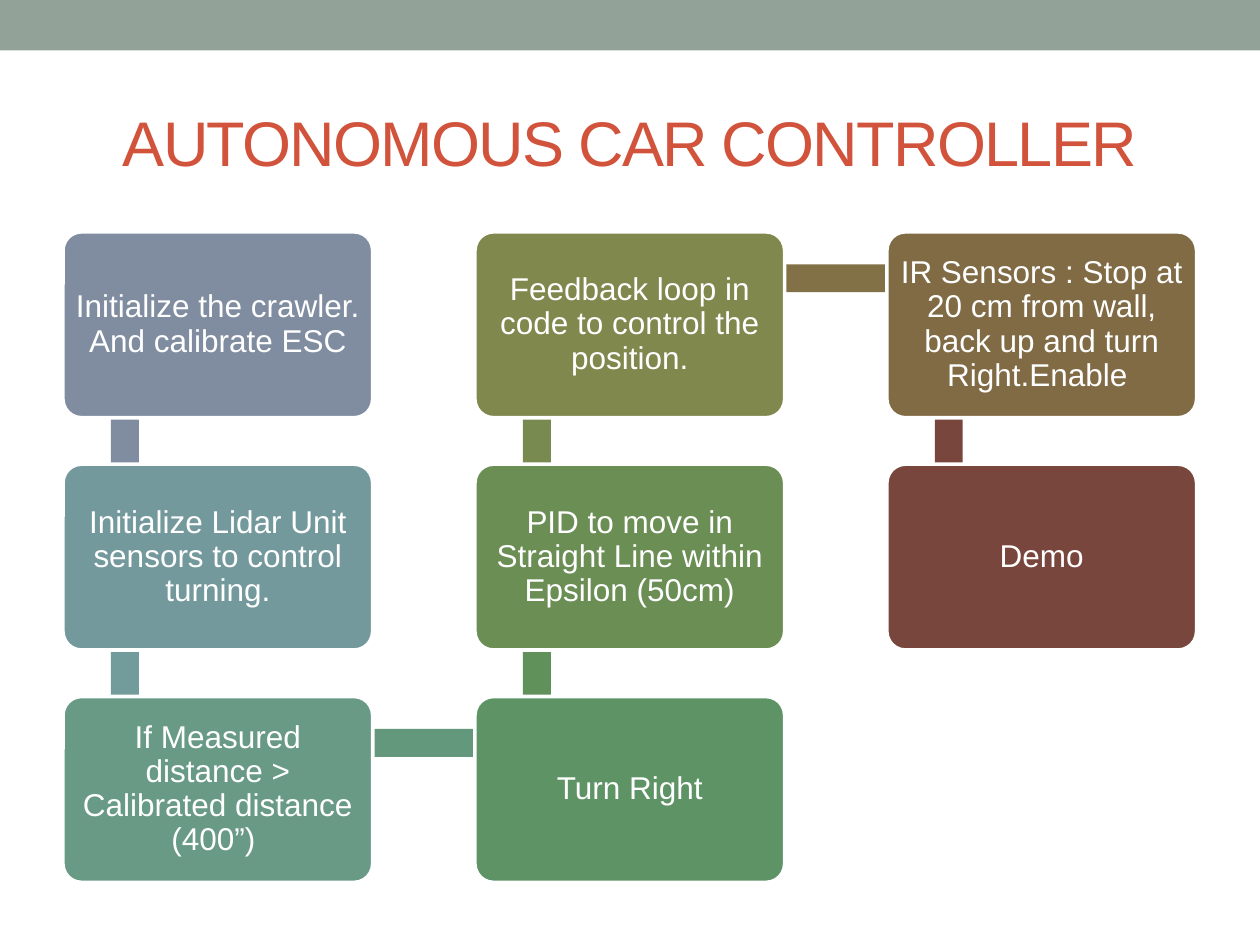
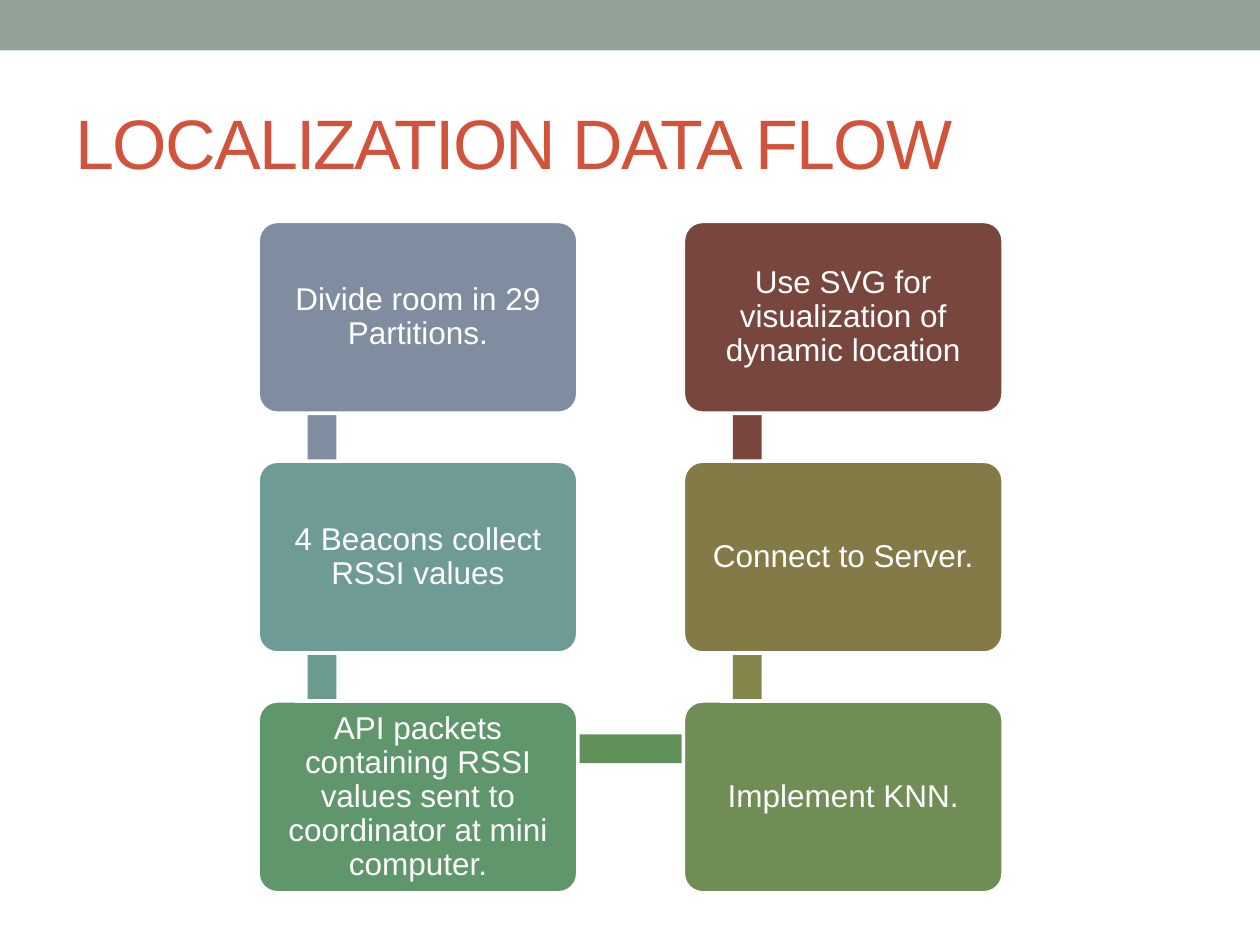
from pptx import Presentation
from pptx.dml.color import RGBColor
from pptx.enum.shapes import MSO_SHAPE as Preset
from pptx.enum.text import MSO_ANCHOR as Anchor, PP_ALIGN as Align
from pptx.util import Pt

FONT = "Arial"
WHITE = RGBColor(0xFF, 0xFF, 0xFF)
BAND = RGBColor(0x93, 0xA2, 0x99)
TITLE = RGBColor(0xD2, 0x53, 0x3C)
SLATE = RGBColor(0x80, 0x8D, 0xA0)
MAROON = RGBColor(0x79, 0x46, 0x3D)
GREEN = RGBColor(0x61, 0x91, 0x5A)
ROWS = 3

# Each flow: title, size, alignment, left, top, card width, steps.
# Each step: text, card colour, colour of the bar to the next step.
FLOWS = [
    ("AUTONOMOUS CAR CONTROLLER", 36, Align.CENTER, 36, 132.5, 177, [
        ("Initialize the crawler. And calibrate ESC", SLATE, SLATE),
        ("Initialize Lidar Unit sensors to control turning.",
         RGBColor(0x74, 0x99, 0x9D), RGBColor(0x72, 0x9B, 0x9C)),
        ("If Measured distance > Calibrated distance (400”) ",
         RGBColor(0x68, 0x9A, 0x86), RGBColor(0x64, 0x98, 0x7C)),
        ("Turn Right", RGBColor(0x5E, 0x94, 0x65), GREEN),
        ("PID to move in Straight Line within Epsilon (50cm)",
         RGBColor(0x6B, 0x8E, 0x55), RGBColor(0x78, 0x8A, 0x50)),
        ("Feedback loop in code to control the position.",
         RGBColor(0x80, 0x88, 0x4D), RGBColor(0x82, 0x71, 0x46)),
        ("IR Sensors : Stop at 20 cm from wall, back up and turn Right.Enable ",
         RGBColor(0x80, 0x6B, 0x45), MAROON),
        ("Demo", MAROON, None),
    ]),
    ("LOCALIZATION DATA FLOW", 40, Align.LEFT, 147.5, 126.5, 182.7, [
        ("Divide room in 29 Partitions.", SLATE, SLATE),
        ("4 Beacons collect RSSI values",
         RGBColor(0x6F, 0x9B, 0x97), RGBColor(0x6B, 0x9A, 0x8E)),
        ("API packets containing RSSI values sent to coordinator at mini computer.",
         RGBColor(0x60, 0x96, 0x6C), GREEN),
        ("Implement KNN.",
         RGBColor(0x6F, 0x8D, 0x54), RGBColor(0x85, 0x86, 0x4B)),
        ("Connect to Server.", RGBColor(0x83, 0x7A, 0x48), MAROON),
        ("Use SVG for visualization of dynamic location", MAROON, None),
    ]),
]


def add_block(slide, preset, left, top, width, height, color):
    """Add a filled shape without outline or shadow."""
    shape = slide.shapes.add_shape(
        preset, Pt(left), Pt(top), Pt(width), Pt(height))
    shape.shadow.inherit = False
    shape.fill.solid()
    shape.fill.fore_color.rgb = color
    shape.line.fill.background()
    return shape


def snake_cell(index):
    """Column and row of a step: down one column, up the next."""
    column, row = divmod(index, ROWS)
    return column, ROWS - 1 - row if column % 2 else row


presentation = Presentation()
presentation.slide_width = Pt(720)
presentation.slide_height = Pt(540)
layout = presentation.slide_layouts[5]

for number, (heading, size, alignment, left, top, width, steps) in enumerate(FLOWS):
    slide = presentation.slides.add_slide(layout)

    # Top band, moved to the layout so that all slides share it
    if number == 0:
        band = add_block(slide, Preset.RECTANGLE, 0, 0, 720, 28.8, BAND)
        layout.shapes.element.append(band.element)

    # Title
    title = slide.shapes.title
    title.left, title.top = Pt(36), Pt(41.76)
    title.width, title.height = Pt(648), Pt(77.76)
    title.text_frame.text = heading
    title.text_frame.vertical_anchor = Anchor.MIDDLE
    paragraph = title.text_frame.paragraphs[0]
    paragraph.alignment = alignment
    paragraph.font.name = FONT
    paragraph.font.size = Pt(size)
    paragraph.font.color.rgb = TITLE
    paragraph.runs[0].font._element.set("spc", "-100")

    # Proportions of the flow, all from the card width
    height = 0.6 * width
    column_pitch = 1.33 * width
    row_pitch = 1.25 * height
    thickness = 0.15 * height

    for index, (text, color, bar_color) in enumerate(steps):
        column, row = snake_cell(index)
        card_left = left + column * column_pitch
        card_top = top + row * row_pitch

        # Bar to the next step, later covered by the cards
        if bar_color is not None:
            next_column, next_row = snake_cell(index + 1)
            bar_left = left + column * column_pitch + 0.2 * width
            bar_top = top + min(row, next_row) * row_pitch + 0.25 * height
            if next_column == column:
                add_block(slide, Preset.RECTANGLE, bar_left - thickness / 2,
                          bar_top, thickness, row_pitch, bar_color)
            else:
                add_block(slide, Preset.RECTANGLE, bar_left,
                          bar_top - thickness / 2, column_pitch, thickness,
                          bar_color)

        # Card
        card = add_block(slide, Preset.ROUNDED_RECTANGLE, card_left, card_top,
                         width, height, color)
        card.adjustments[0] = 0.1
        card.line.color.rgb = WHITE
        card.line.width = Pt(2.08)
        frame = card.text_frame
        frame.word_wrap = True
        frame.vertical_anchor = Anchor.MIDDLE
        frame.margin_left = frame.margin_right = Pt(1.9)
        frame.margin_top = frame.margin_bottom = Pt(1.9)
        frame.text = text
        paragraph = frame.paragraphs[0]
        paragraph.alignment = Align.CENTER
        paragraph.line_spacing = 0.9
        paragraph.font.name = FONT
        paragraph.font.size = Pt(18)
        paragraph.font.color.rgb = WHITE

presentation.save("out.pptx")
